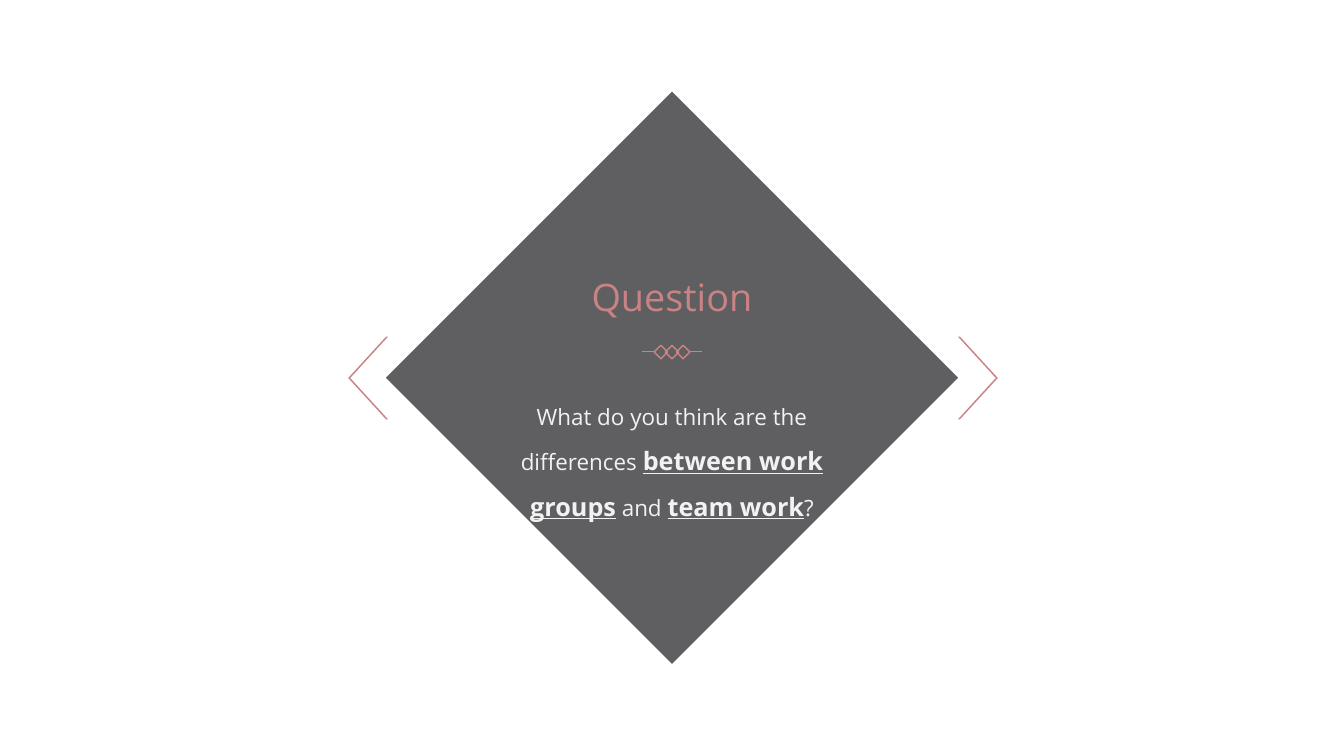
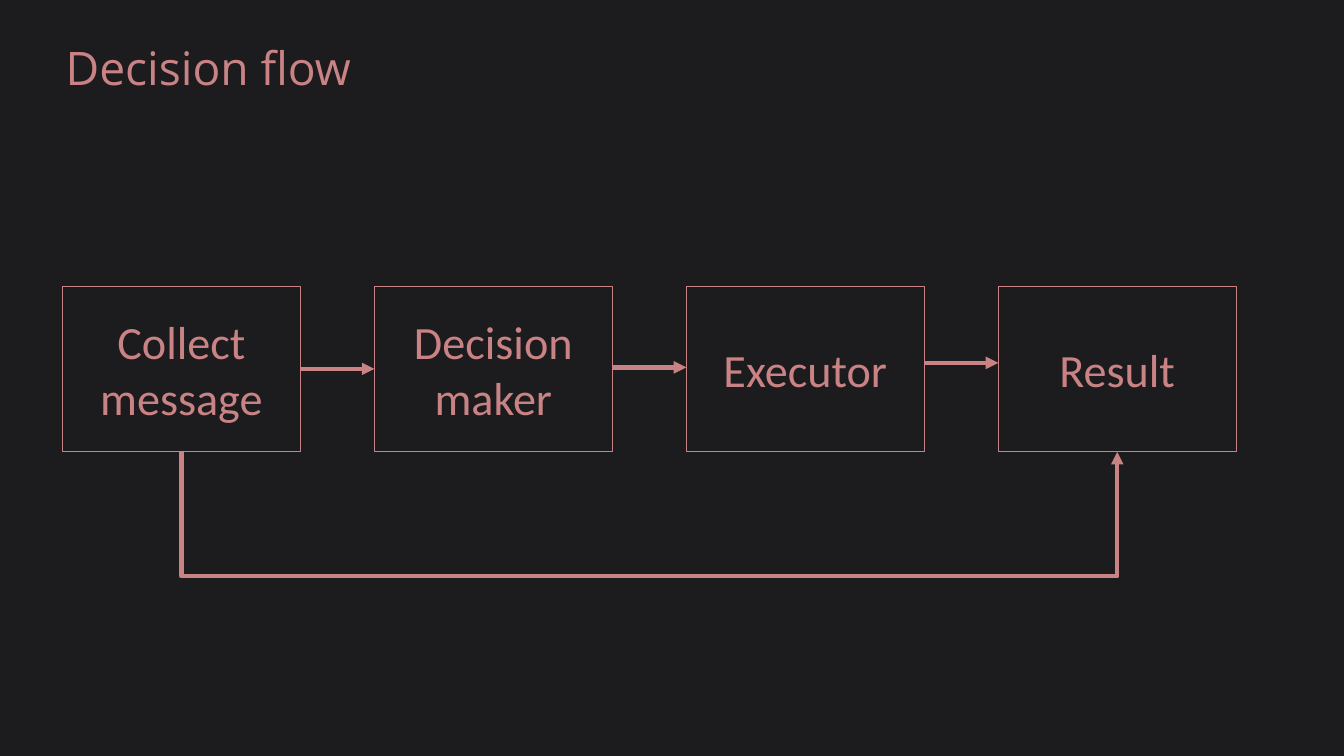
from lxml import etree
from pptx import Presentation
from pptx.dml.color import RGBColor
from pptx.enum.shapes import MSO_CONNECTOR, MSO_SHAPE
from pptx.enum.text import MSO_ANCHOR, MSO_AUTO_SIZE, PP_ALIGN
from pptx.oxml.ns import qn
from pptx.util import Inches, Pt

RECT, CHEVRON = MSO_SHAPE.RECTANGLE, MSO_SHAPE.CHEVRON
LINE, ELBOW = MSO_CONNECTOR.STRAIGHT, MSO_CONNECTOR.ELBOW
CENTER, MIDDLE = PP_ALIGN.CENTER, MSO_ANCHOR.MIDDLE
FIT = MSO_AUTO_SIZE.SHAPE_TO_FIT_TEXT

COLORS = {"white": "FFFFFF", "dark": "1C1C1E", "rose": "CA8385", "pale": "F2F2F2"}
SANS, BODY = "Open Sans", "Calibri"

ASK = "Question"
PROMPT = [
    ("What do you think are the differences ", False),
    ("between work groups", True),
    (" and ", False),
    ("team work", True),
    ("?", False),
]
TITLE = "Decision flow"
STEPS = ["Collect message", "Decision maker", "Executor", "Result"]
ARROW_Y = [7.32, 7.29, 7.2]

LEFT, TOP, WIDE, HIGH, PITCH = 1.24, 5.68, 4.72, 3.28, 6.19
MID = TOP + HIGH / 2
DROP = 2.52


def rgb(name):
    return RGBColor.from_string(COLORS[name])


def new_slide(deck, back):
    slide = deck.slides.add_slide(deck.slide_layouts[6])
    slide.background.fill.solid()
    slide.background.fill.fore_color.rgb = rgb(back)
    return slide


def write(frame, runs, size=32, bold_size=36, font=SANS, color="rose", space=None):
    para = frame.paragraphs[0]
    para.alignment = CENTER
    if space:
        para.line_spacing = space
    for text, strong in runs:
        run = para.add_run()
        run.text = text
        run.font.name = font
        run.font.size = Pt(bold_size if strong else size)
        run.font.bold = run.font.underline = strong
        run.font.color.rgb = rgb(color)


def add_text(slide, box, runs, wrap=False, **style):
    frame = slide.shapes.add_textbox(*map(Inches, box)).text_frame
    frame.word_wrap = wrap
    frame.auto_size = FIT
    write(frame, runs, **style)


def add_box(slide, kind, box, fill=None, line=None, turn=0):
    shape = slide.shapes.add_shape(kind, *map(Inches, box))
    shape.shadow.inherit = False
    shape.rotation = turn
    if fill:
        shape.fill.solid()
        shape.fill.fore_color.rgb = rgb(fill)
    else:
        shape.fill.background()
    if line:
        shape.line.color.rgb = rgb("rose")
        shape.line.width = Pt(line)
    else:
        shape.line.fill.background()
    return shape


def add_line(slide, start, end, width, kind=LINE, arrow=False):
    link = slide.shapes.add_connector(kind, *map(Inches, (*start, *end)))
    link.line.color.rgb = rgb("rose")
    link.line.width = Pt(width)
    if arrow:
        etree.SubElement(link.line._get_or_add_ln(), qn("a:tailEnd"), type="triangle")
    etree.SubElement(link._element.spPr, qn("a:effectLst"))
    return link


def build_question(deck):
    slide = new_slide(deck, "white")
    diamond = add_box(slide, RECT, (9.32, 3.48, 8.03, 8.03), fill="dark", turn=315)
    tint = diamond._element.spPr.find(qn("a:solidFill"))[0]
    etree.SubElement(tint, qn("a:alpha"), val="70000")
    add_text(slide, (11.45, 5.39, 3.77, 1.01), [(ASK, False)], size=54)

    for i in range(3):
        add_box(slide, RECT, (13.02 + 0.22 * i, 6.89, 0.19, 0.19), line=2, turn=45)
    for x in (13.68, 12.73):
        add_line(slide, (x, 6.98), (x + 0.25, 6.98), 2)

    add_text(slide, (9.79, 7.69, 7.09, 2.63), PROMPT, wrap=True, color="pale", space=1.5)
    for x, turn in ((19.01, 0), (6.91, 180)):
        mark = add_box(slide, CHEVRON, (x, 6.68, 0.79, 1.64), fill="rose", turn=turn)
        mark.adjustments[0] = 0.95


def build_flow(deck):
    slide = new_slide(deck, "dark")
    add_text(slide, (0.84, 0.73, 6.59, 1.21), [(TITLE, False)], size=66)

    boxes = []
    for i, step in enumerate(STEPS):
        box = add_box(slide, RECT, (LEFT + PITCH * i, TOP, WIDE, HIGH), line=1)
        box.text_frame.word_wrap = True
        box.text_frame.vertical_anchor = MIDDLE
        write(box.text_frame, [(step, False)], size=66, font=BODY)
        boxes.append(box)

    for i, y in enumerate(ARROW_Y):
        x = LEFT + PITCH * i + WIDE
        link = add_line(slide, (x, y), (x + PITCH - WIDE, y), 6, arrow=True)
        if y == round(MID, 2):
            link.begin_connect(boxes[i], 3)
            link.end_connect(boxes[i + 1], 1)

    span, thin = PITCH * (len(STEPS) - 1), 0.01
    mid_x, base = LEFT + (WIDE + span) / 2, TOP + HIGH
    loop = add_line(slide, (mid_x + thin / 2, base - span / 2),
                    (mid_x - thin / 2, base + span / 2), 6, kind=ELBOW, arrow=True)
    props = loop._element.spPr
    props.find(qn("a:xfrm")).set("rot", str(270 * 60000))
    guides = props.find(qn("a:prstGeom")).find(qn("a:avLst"))
    bend = round(DROP / thin * 100000)
    etree.SubElement(guides, qn("a:gd"), name="adj1", fmla=f"val {bend}")


def main():
    deck = Presentation()
    deck.slide_width, deck.slide_height = Inches(26.67), Inches(15)
    build_question(deck)
    build_flow(deck)
    deck.save("out.pptx")


if __name__ == "__main__":
    main()
